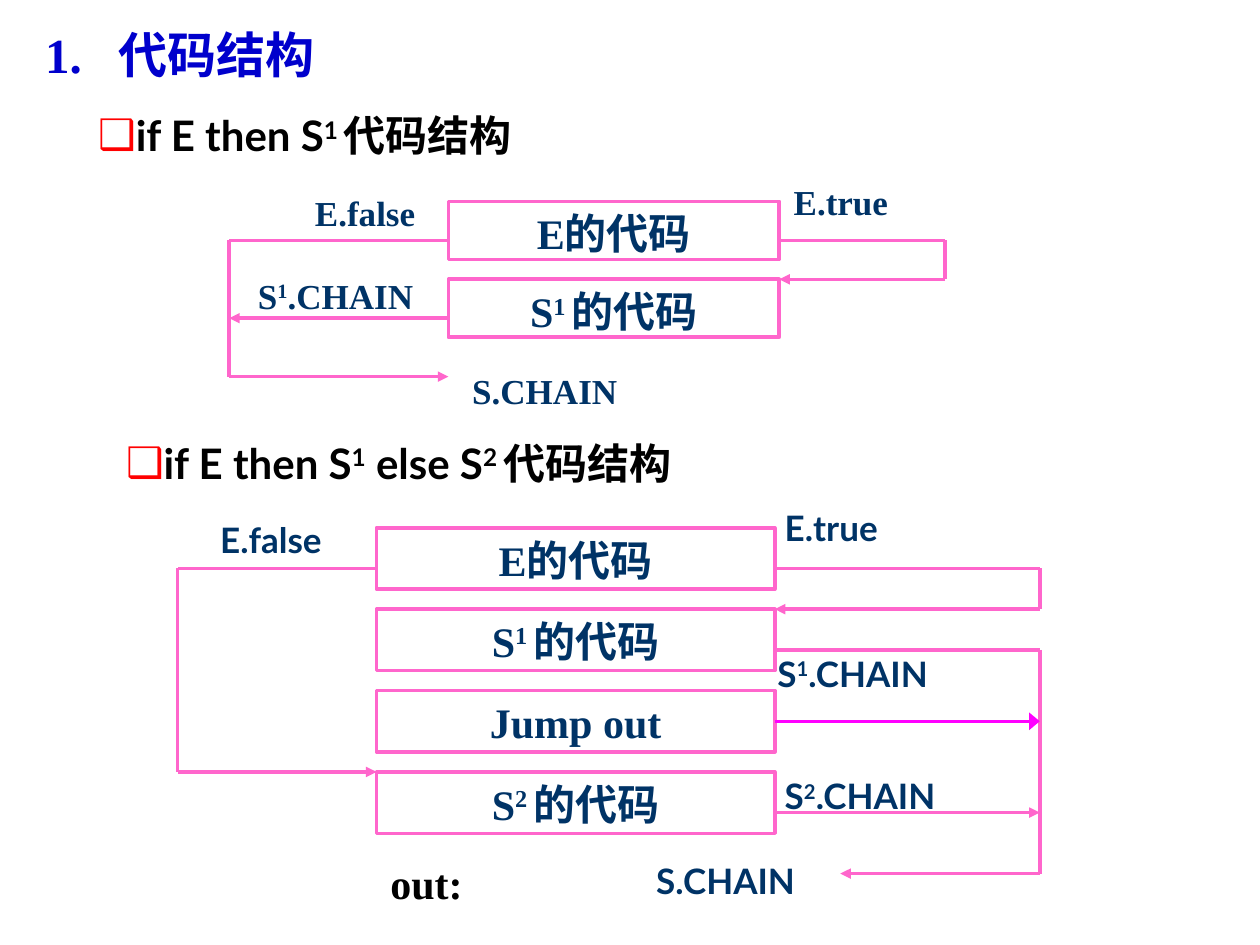
import itertools
from dataclasses import dataclass

import pptx
import pptx.dml.color
import pptx.enum.shapes
import pptx.enum.text
import pptx.oxml.ns
import pptx.util
from lxml import etree


@dataclass(frozen=True)
class Theme:
    serif: str = "Times New Roman"
    sans: str = "Lato"
    title: str = "0000CC"
    body: str = "000000"
    ink: str = "003366"
    bullet: str = "FF0000"
    flow: str = "FF66CC"
    jump: str = "FF00FF"
    paper: str = "FFFFFF"
    title_size: int = 28
    body_size: int = 24
    label_size: int = 20
    line_width: int = 2


THEME = Theme()
ALIGN = pptx.enum.text.PP_ALIGN

# Lengths are in centimetres; braces mark superscript text.
TITLE = "1.\t代码结构"
LABEL_HEIGHT = 1.27

# Each route is a list of (x, row): row 0 is the top of the first block,
# row 1 the top of the second, and the last point has the arrowhead.
DIAGRAMS = [
    {
        "heading": ("if E then S{1 }代码结构", 1.73, 2.08, 9.53),
        "blocks": ["E的代码", "S{1 }的代码"],
        "left": 9.04, "top": 4.06, "width": 6.67, "height": 1.17, "pitch": 1.57,
        "routes": [
            [(15.71, 0.5), (19.05, 0.5), (19.05, 1), (15.71, 1)],
            [(9.04, 0.5), (4.62, 0.5), (4.62, 2.25), (9.04, 2.25)],
            [(9.04, 1.5), (4.62, 1.5)],
        ],
        "label_font": THEME.serif,
        "labels": [
            ("E.false", 6.1, 3.61, 3.1),
            ("E.true", 15.75, 3.38, 2.82),
            ("S{1}.CHAIN", 4.95, 5.28, 4.65),
            ("S.CHAIN", 9.27, 7.19, 6.73),
        ],
    },
    {
        "heading": ("if E then S{1} else S{2 }代码结构", 2.29, 8.69, 12.4),
        "blocks": ["E的代码", "S{1 }的代码", "Jump out", "S{2 }的代码"],
        "left": 7.59, "top": 10.64, "width": 8.03, "height": 1.24, "pitch": 1.64,
        "routes": [
            [(7.59, 0.5), (3.58, 0.5), (3.58, 3), (7.59, 3)],
            [(15.62, 0.5), (20.96, 0.5), (20.96, 1), (15.62, 1)],
            [(15.62, 1.5), (20.96, 1.5), (20.96, 4.25), (16.94, 4.25)],
            [(15.62, 3.5), (20.96, 3.5)],
        ],
        "label_font": THEME.sans,
        "labels": [
            ("E.false", 4.19, 10.21, 3.38),
            ("E.true", 15.57, 9.96, 3.23),
            ("S{1}.CHAIN", 15.42, 12.9, 4.65),
            ("S{2}.CHAIN", 15.57, 15.37, 4.93),
            ("S.CHAIN", 12.98, 17.07, 4.32),
        ],
    },
]
JUMP_BLOCK, JUMP_END = 2, 20.96
OUT_LABEL = ("out:", 7.62, 17.15, 2.34)


def rgb(value):
    return pptx.dml.color.RGBColor.from_string(value)


def cm(*lengths):
    return [pptx.util.Cm(length) for length in lengths]


def add_xml(parent, tag, **attributes):
    return etree.SubElement(parent, pptx.oxml.ns.qn(tag), attributes)


def write(shape, text, size=THEME.body_size, font=THEME.serif, color=THEME.ink,
          align=ALIGN.LEFT, inset=(0.25, 0.13), anchor=pptx.enum.text.MSO_ANCHOR.TOP,
          spacing=None, bullet=None, tab=None):
    frame = shape.text_frame
    frame.word_wrap = True
    frame.auto_size = pptx.enum.text.MSO_AUTO_SIZE.NONE
    frame.vertical_anchor = anchor
    frame.margin_left, frame.margin_top = cm(*inset)
    frame.margin_right, frame.margin_bottom = cm(0.25, 0)
    paragraph = frame.paragraphs[0]
    properties = paragraph._p.get_or_add_pPr()
    if bullet:
        properties.set("marL", "0")
        properties.set("indent", "0")
        add_xml(add_xml(properties, "a:buClr"), "a:srgbClr", val=THEME.bullet)
        add_xml(properties, "a:buChar", char=bullet)
    if tab:
        add_xml(add_xml(properties, "a:tabLst"), "a:tab",
                pos=str(pptx.util.Cm(tab)), algn="l")
    paragraph.alignment = align
    paragraph.space_before = pptx.util.Pt(0)
    paragraph.line_spacing = spacing
    for index, piece in enumerate(text.replace("{", "}").split("}")):
        run = paragraph.add_run()
        run.text = piece
        run.font.size = pptx.util.Pt(size)
        run.font.name = font
        run.font.bold = True
        run.font.color.rgb = rgb(color)
        if index % 2:
            run.font._element.set("baseline", "30000")


def place(shape, left, top, width, height):
    shape.left, shape.top, shape.width, shape.height = cm(left, top, width, height)


def add_label(slide, label, **text_format):
    text, left, top, width = label
    write(slide.shapes.add_textbox(*cm(left, top, width, LABEL_HEIGHT)), text, **text_format)


def add_line(slide, start, end, color=THEME.flow, arrow=False, head_width="med"):
    line = slide.shapes.add_connector(
        pptx.enum.shapes.MSO_CONNECTOR.STRAIGHT, *cm(*start, *end))
    line.line.color.rgb = rgb(color)
    line.line.width = pptx.util.Pt(THEME.line_width)
    if arrow:
        add_xml(line.line._get_or_add_ln(), "a:tailEnd", type="triangle", w=head_width, len="med")
    add_xml(line._element.spPr, "a:effectLst")
    return line


def add_block(slide, text, left, top, width, height):
    block = slide.shapes.add_shape(
        pptx.enum.shapes.MSO_SHAPE.RECTANGLE, *cm(left, top, width, height))
    block.shadow.inherit = False
    block.fill.solid()
    block.fill.fore_color.rgb = rgb(THEME.paper)
    block.line.color.rgb = rgb(THEME.flow)
    block.line.width = pptx.util.Pt(THEME.line_width)
    write(block, text, align=ALIGN.CENTER)
    return block


def add_diagram(slide, diagram, heading):
    """Draw one code layout and return its blocks."""
    text, left, top, width = diagram["heading"]
    place(heading, left, top, width, LABEL_HEIGHT)
    write(heading, text, font=THEME.sans, color=THEME.body, bullet="❑")

    def row_y(row):
        return diagram["top"] + row * diagram["pitch"]

    blocks = [add_block(slide, name, diagram["left"], row_y(row),
                        diagram["width"], diagram["height"])
              for row, name in enumerate(diagram["blocks"])]
    for route in diagram["routes"]:
        points = [(x, row_y(row)) for x, row in route]
        for start, end in itertools.pairwise(points):
            add_line(slide, start, end, arrow=end == points[-1])
    for label in diagram["labels"]:
        add_label(slide, label, size=THEME.label_size, font=diagram["label_font"],
                  inset=(0.25, 0.25))
    return blocks


def main():
    deck = pptx.Presentation()
    deck.slide_width, deck.slide_height = cm(25.4, 19.05)
    slide = deck.slides.add_slide(deck.slide_layouts.get_by_name("Two Content"))
    title, *headings = list(slide.placeholders)[:3]
    place(title, 0.43, 0.64, 6.35, 1.07)
    write(title, TITLE, size=THEME.title_size, color=THEME.title, inset=(0.48, 0),
          anchor=pptx.enum.text.MSO_ANCHOR.MIDDLE, spacing=0.85, tab=1.48)

    for diagram, heading in zip(DIAGRAMS, headings):
        blocks = add_diagram(slide, diagram, heading)

    jump_block = blocks[JUMP_BLOCK]
    jump_y = (jump_block.top + jump_block.height / 2) / pptx.util.Cm(1)
    jump_x = (jump_block.left + jump_block.width) / pptx.util.Cm(1)
    jump = add_line(slide, (jump_x, jump_y), (JUMP_END, jump_y), color=THEME.jump,
                    arrow=True, head_width="lg")
    jump.begin_connect(jump_block, 3)
    add_label(slide, OUT_LABEL, color=THEME.body)
    deck.save("out.pptx")


if __name__ == "__main__":
    main()
